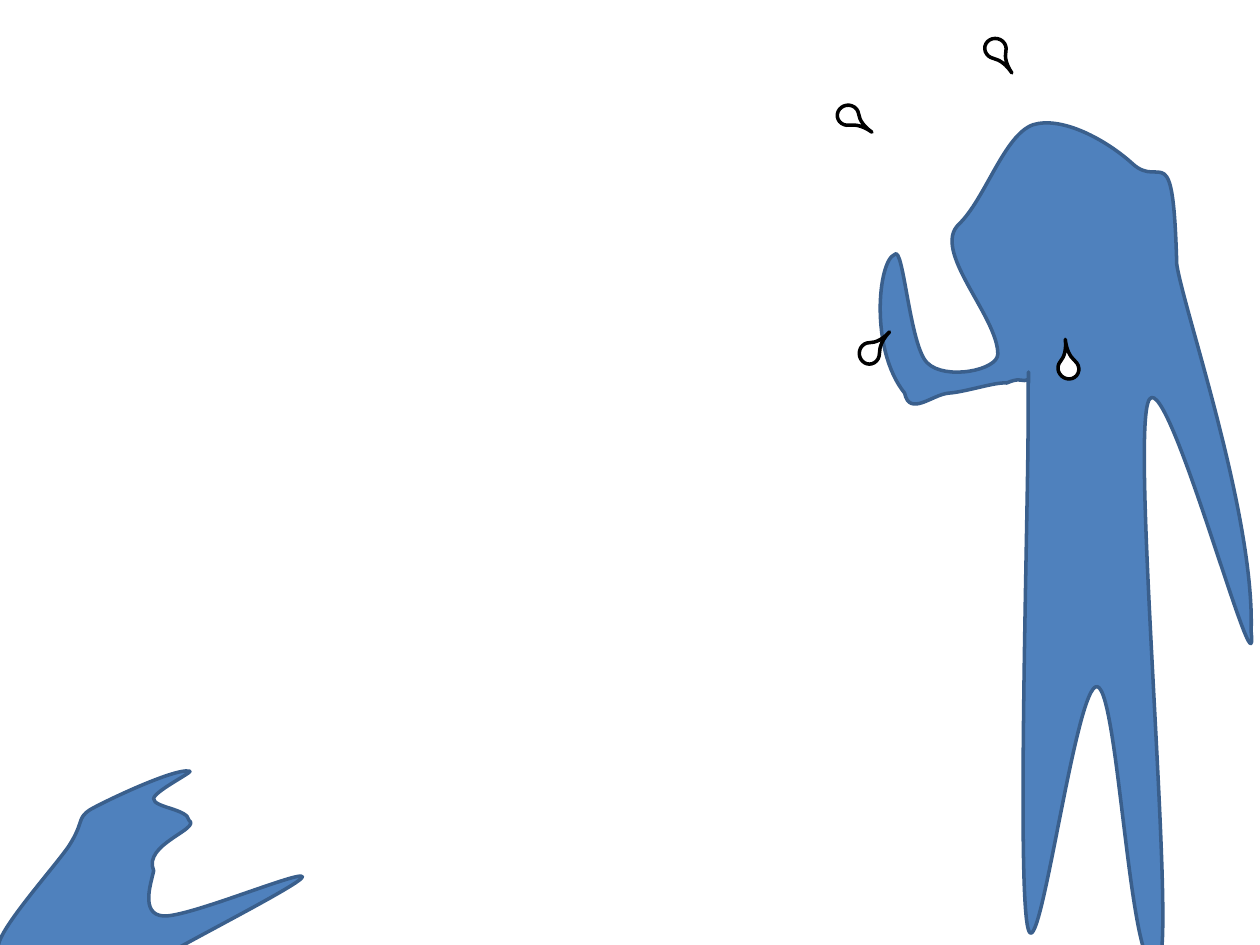
from typing import NamedTuple

from pptx import Presentation
from pptx.dml.color import RGBColor
from pptx.enum.shapes import MSO_SHAPE
from pptx.oxml.ns import qn
from pptx.oxml.xmlchemy import OxmlElement
from pptx.util import Inches, Pt

BLUE, NAVY, WHITE, BLACK = "4F81BD", "3A5F8C", "FFFFFF", "000000"

Point = tuple[float, float]


class Drop(NamedTuple):
    """A sweat drop's position and rotation."""
    x: float
    y: float
    angle: float


class Figure(NamedTuple):
    """A closed outline: a start point, then two controls and an end per curve."""
    start: Point
    curves: list[tuple[Point, Point, Point]]


STANDING = Figure((7.92, 2.81), [
    ((7.92, 2.51), (7.39, 1.99), (7.61, 1.78)),
    ((7.82, 1.58), (7.97, 1.07), (8.2, 0.99)),
    ((8.43, 0.92), (8.78, 1.11), (8.99, 1.3)),
    ((9.22, 1.51), (9.31, 1.04), (9.34, 2.1)),
    ((9.4, 2.48), (9.96, 4.09), (9.93, 5.01)),
    ((10, 5.67), (9.23, 2.76), (9.11, 3.2)),
    ((8.98, 3.64), (9.36, 7.75), (9.18, 7.64)),
    ((8.97, 7.84), (8.88, 5.49), (8.71, 5.45)),
    ((8.54, 5.4), (8.25, 7.72), (8.16, 7.37)),
    ((8.07, 7.03), (8.16, 4.08), (8.16, 3.36)),
    ((8.16, 2.64), (8.17, 3.1), (8.16, 3.04)),
    ((8.16, 2.99), (8.16, 3.02), (8.13, 3.02)),
    ((8.1, 3.02), (8.08, 3), (7.99, 3.04)),
    ((7.9, 3.03), (7.67, 3.11), (7.53, 3.12)),
    ((7.4, 3.13), (7.22, 3.31), (7.18, 3.12)),
    ((6.9, 2.77), (6.97, 2.07), (7.1, 2.02)),
    ((7.17, 1.93), (7.22, 2.75), (7.36, 2.88)),
    ((7.5, 3.02), (7.92, 2.94), (7.92, 2.81)),
])
CROUCHING = Figure((0.55, 6.71), [
    ((0.67, 6.52), (0.61, 6.5), (0.71, 6.43)),
    ((0.79, 6.38), (1.37, 6.1), (1.5, 6.12)),
    ((1.57, 6.11), (1.22, 6.28), (1.22, 6.34)),
    ((1.22, 6.41), (1.49, 6.42), (1.5, 6.51)),
    ((1.6, 6.58), (1.13, 6.7), (1.22, 6.91)),
    ((1.21, 6.98), (1.1, 7.26), (1.3, 7.27)),
    ((1.5, 7.28), (2.4, 6.9), (2.4, 6.96)),
    ((2.4, 7.01), (1.53, 7.45), (1.3, 7.59)),
    ((1.07, 7.73), (1.27, 7.74), (1.02, 7.79)),
    ((0.95, 7.84), (0.96, 7.78), (0.79, 7.74)),
    ((0.62, 7.7), (0.08, 7.59), (0, 7.54)),
    ((-0.1, 7.47), (0.43, 6.89), (0.55, 6.71)),
])
DROPS = [
    Drop(6.82, 2.72, 0),
    Drop(6.65, 0.83, 82),
    Drop(8.4, 2.84, 310.7),
    Drop(7.82, 0.3, 102.8),
]


def paint(sp, fill: str, line: str) -> None:
    """Set a shape's fill and outline and drop its shadow."""
    sp.shadow.inherit = False
    sp.fill.solid()
    sp.fill.fore_color.rgb = RGBColor.from_string(fill)
    sp.line.color.rgb = RGBColor.from_string(line)
    sp.line.width = Pt(2)


def curve_segments(sp) -> None:
    """Merge each three line segments of a freeform into one cubic curve."""
    lines = list(sp.element.iter(qn("a:lnTo")))
    for trio in zip(lines[::3], lines[1::3], lines[2::3]):
        curve = OxmlElement("a:cubicBezTo")
        trio[0].addprevious(curve)
        for line in trio:
            curve.append(line[0])
            line.getparent().remove(line)


def add_figure(s, fig: Figure) -> None:
    """Draw a figure as a smooth closed freeform."""
    fb = s.shapes.build_freeform(*(Inches(v) for v in fig.start))
    fb.add_line_segments([(Inches(x), Inches(y)) for c in fig.curves for x, y in c])
    sp = fb.convert_to_shape()
    curve_segments(sp)
    paint(sp, BLUE, NAVY)


def add_drop(s, drop: Drop) -> None:
    """Draw one long-tailed sweat drop."""
    sp = s.shapes.add_shape(MSO_SHAPE.TEAR, Inches(drop.x), Inches(drop.y),
                            Inches(0.16), Inches(0.17))
    sp.adjustments[0] = 2
    sp.rotation = drop.angle
    paint(sp, WHITE, BLACK)


def main() -> None:
    """Build and save the slide."""
    prs = Presentation()
    prs.slide_width, prs.slide_height = Inches(10), Inches(7.5)
    s = prs.slides.add_slide(prs.slide_layouts[6])
    for fig in (STANDING, CROUCHING):
        add_figure(s, fig)
    for drop in DROPS:
        add_drop(s, drop)
    prs.save("out.pptx")


main()
